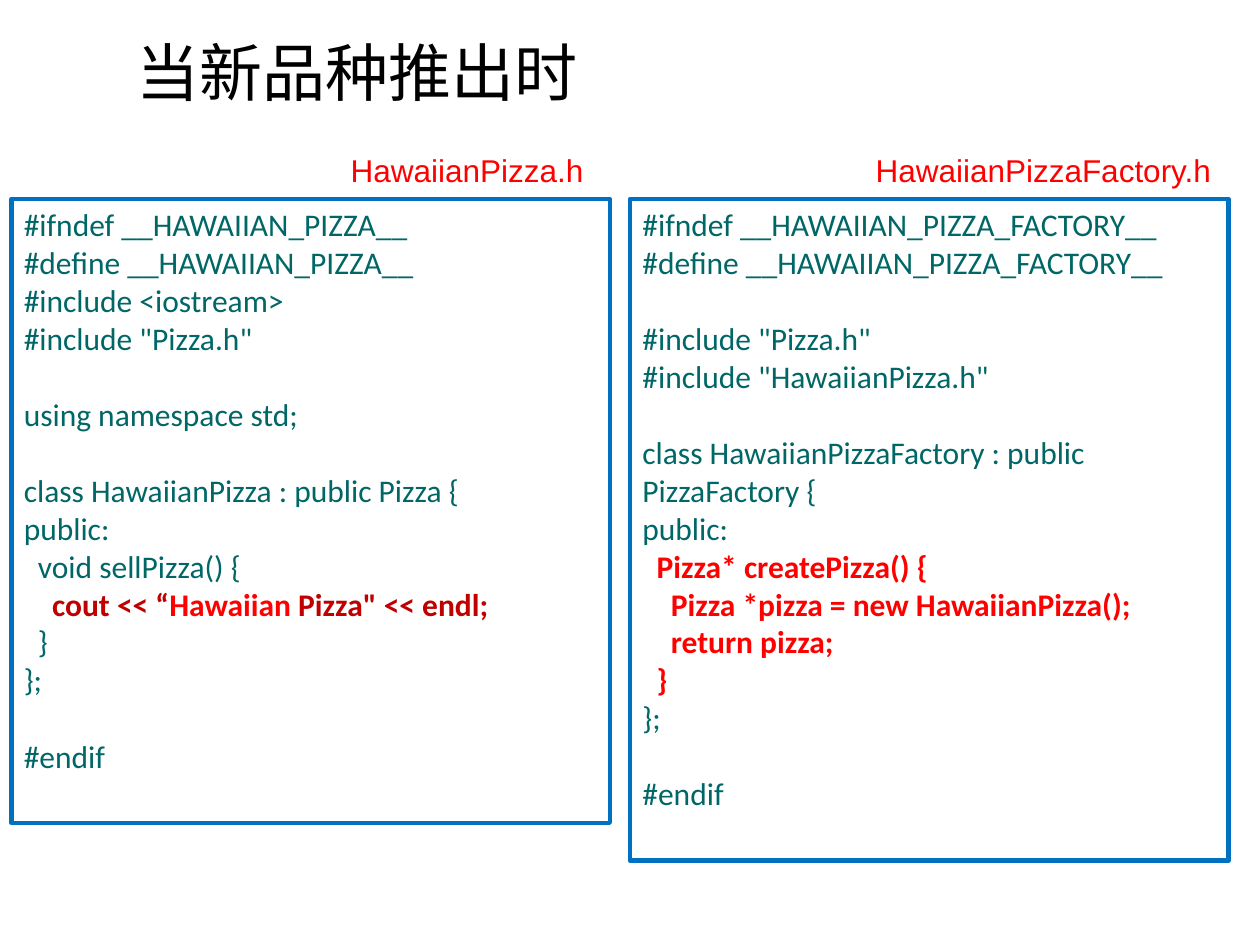
from pptx import Presentation
from pptx.dml.color import RGBColor
from pptx.enum.shapes import MSO_SHAPE
from pptx.enum.text import MSO_ANCHOR, PP_ALIGN
from pptx.util import Inches, Pt

# Content: each file is a list of blocks, each block a list of lines;
# a line is a string or a list of (text, style) runs
TITLE = "当新品种推出时"
FILES = [
    {"name": "HawaiianPizza.h", "height": 4.95, "label": (2.56, 2.17), "code": [
        ["#ifndef __HAWAIIAN_PIZZA__",
         "#define __HAWAIIAN_PIZZA__",
         "#include <iostream>",
         '#include "Pizza.h"'],
        ["using namespace std;"],
        ["class HawaiianPizza : public Pizza {",
         "public:",
         "  void sellPizza() {",
         [("    cout << “", "dark"), ("Hawaiian", "new"),
          (' Pizza" << endl;', "dark")],
         "  }",
         "};"],
        ["#endif"]]},
    {"name": "HawaiianPizzaFactory.h", "height": 5.25, "label": (6.57, 3.14), "code": [
        ["#ifndef __HAWAIIAN_PIZZA_FACTORY__",
         "#define __HAWAIIAN_PIZZA_FACTORY__"],
        ['#include "Pizza.h"',
         '#include "HawaiianPizza.h"'],
        ["class HawaiianPizzaFactory : public PizzaFactory {",
         "public:",
         [("  Pizza* createPizza() {", "new")],
         [("    Pizza *pizza = new HawaiianPizza();", "new")],
         [("    return pizza;", "new")],
         [("  }", "new")],
         "};"],
        ["#endif"]]},
]

# Formats
CODE = {"name": "Calibri", "size": Pt(18)}
STYLES = {
    "plain": {**CODE, "bold": False, "color": "006666"},
    "dark": {**CODE, "bold": True, "color": "C00000"},
    "new": {**CODE, "bold": True, "color": "FF0000"},
    "label": {"name": "Arial", "size": Pt(18), "color": "FF0000"},
    "title": {"name": "Arial", "size": Pt(36), "color": "000000"},
}
LEFT, STEP, WIDTH = 0.09, 4.91, 4.75
TOP, LABEL_TOP, LABEL_HIGH = 1.58, 1.15, 0.4
GAP = Pt(22)  # one empty line of code


def paint(target, color):
    target.rgb = RGBColor.from_string(color)


def add_run(para, text, style):
    run = para.add_run()
    run.text = text
    for key, value in STYLES[style].items():
        if key == "color":
            paint(run.font.color, value)
        else:
            setattr(run.font, key, value)


def add_code(slide, left, file):
    box = slide.shapes.add_shape(MSO_SHAPE.RECTANGLE, Inches(left), Inches(TOP),
                                 Inches(WIDTH), Inches(file["height"]))
    box.shadow.inherit = False
    box.fill.background()
    paint(box.line.color, "0070C0")
    box.line.width = Pt(2.5)
    frame = box.text_frame
    frame.word_wrap = True
    frame.vertical_anchor = MSO_ANCHOR.TOP
    para = frame.paragraphs[0]
    for b, block in enumerate(file["code"]):
        for n, line in enumerate(block):
            if b or n:
                para = frame.add_paragraph()
            para.alignment = PP_ALIGN.LEFT
            if b and n == 0:
                para.space_before = GAP
            runs = [(line, "plain")] if isinstance(line, str) else line
            for text, style in runs:
                add_run(para, text, style)


def add_label(slide, file):
    left, width = file["label"]
    box = slide.shapes.add_textbox(Inches(left), Inches(LABEL_TOP),
                                   Inches(width), Inches(LABEL_HIGH))
    box.text_frame.word_wrap = True
    para = box.text_frame.paragraphs[0]
    para.alignment = PP_ALIGN.RIGHT
    add_run(para, file["name"], "label")


def main():
    deck = Presentation()
    deck.slide_width, deck.slide_height = Inches(10), Inches(7.5)
    slide = deck.slides.add_slide(deck.slide_layouts[5])

    # Title
    title = slide.shapes.title
    title.left, title.top = Inches(0.98), Inches(0.13)
    title.width, title.height = Inches(9.29), Inches(0.87)
    title.text_frame.vertical_anchor = MSO_ANCHOR.MIDDLE
    para = title.text_frame.paragraphs[0]
    para.alignment = PP_ALIGN.LEFT
    add_run(para, TITLE, "title")

    # Header files side by side
    for n, file in enumerate(FILES):
        add_code(slide, LEFT + n * STEP, file)
        add_label(slide, file)

    deck.save("out.pptx")


if __name__ == "__main__":
    main()
